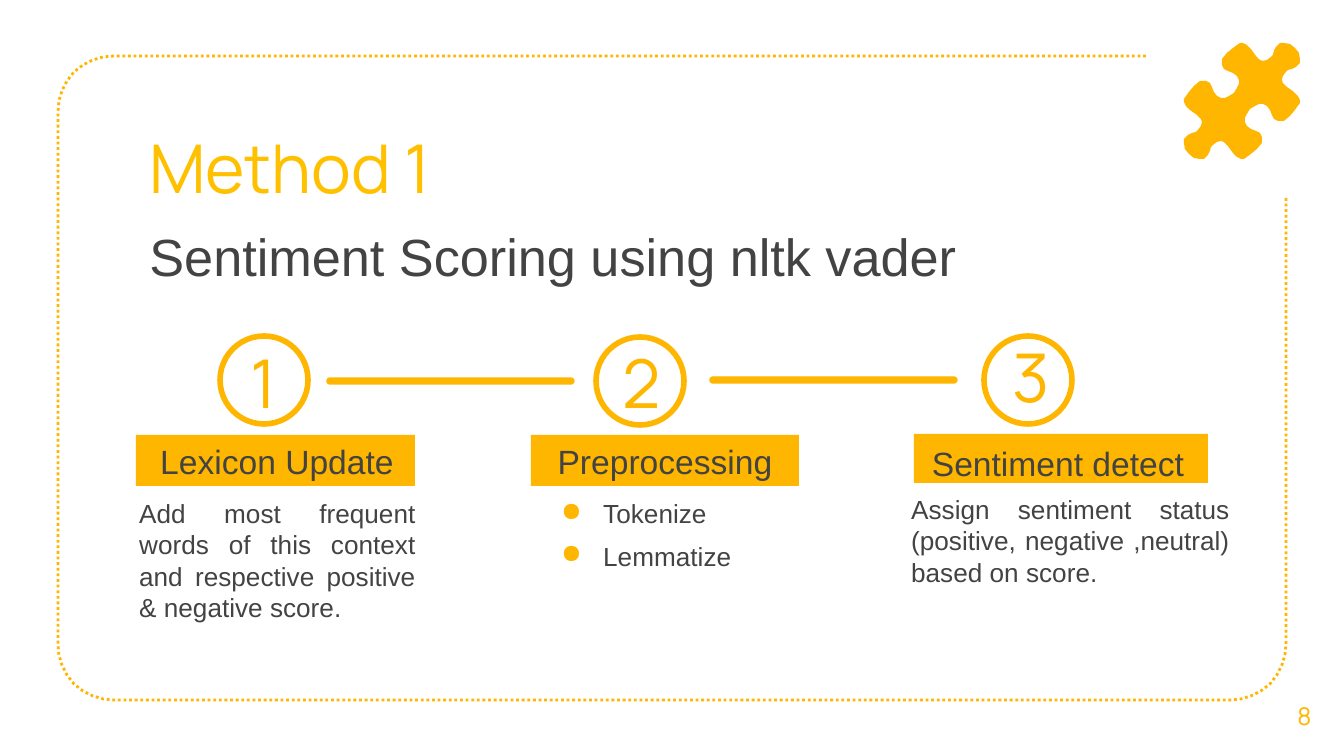
import math
from dataclasses import dataclass
from lxml import etree
from pptx import Presentation
from pptx import util as u
from pptx.dml.color import RGBColor
from pptx.enum import dml, shapes, text
from pptx.oxml.ns import qn

SCALE = 914400 / 134.4  # EMU in one px


@dataclass(frozen=True)
class Theme:
    accent: str = "FFB600"
    heading: str = "FFC000"
    ink: str = "434343"
    display: str = "Manrope"
    body: str = "Arial"
    large: int = 36
    title: int = 28
    label: int = 18
    copy: int = 14
    small: int = 13


THEME = Theme()

# Content: boxes are left, top, width, height in px
HEADING = ("Method 1", (136, 113, 1009, 126))
TITLE = ("Sentiment Scoring using nltk vader", (136, 211, 1048, 109))
PAGE_NUMBER = ("8", (1265, 675, 79, 81))
STEPS = [
    dict(number="1", number_box=(204, 316, 120, 87), ring=(220, 336),
         label="Lexicon Update", bar=(136, 435, 279, 51),
         label_box=(146, 429, 262, 66), copy_box=(126, 484, 303, 188),
         copy=["Add most frequent words of this context and respective positive & negative score."]),
    dict(number="2", number_box=(587, 316, 109, 79), ring=(596, 337),
         label="Preprocessing", bar=(531, 435, 268, 51),
         label_box=(534, 429, 262, 66), copy_box=(548, 484, 247, 188),
         copy=["Tokenize", "Lemmatize"]),
    dict(number="3", number_box=(977, 310, 109, 79), ring=(984, 336),
         label="Sentiment detect", bar=(914, 434, 294, 49),
         label_box=(907, 431, 302, 66), copy_box=(898, 480, 345, 188),
         copy=["Assign sentiment status (positive, negative ,neutral) based on score."]),
]
RING_SIZE = 88
LINKS = [(327, 378, 247, 6), (710, 377, 247, 6)]

# Dotted frame, open at its top right corner
FRAME = dict(left=58, top=56, right=1286, bottom=700, radius=56, start=1146, end=196)

# A quarter of the puzzle piece, from notch to tab, as px from its centre
PUZZLE_CENTRE = (1242, 101)
PUZZLE_QUARTER = [
    (-8, -8), (-5, -13), (-3, -17), (-3, -21), (-5, -25), (-9, -28), (-14, -30),
    (-18, -32), (-20, -36), (-20, -38), (-20, -42), (-15, -48), (-9, -53), (-2, -58),
    (1, -58), (5, -56), (9, -52), (14, -45), (18, -41), (21, -40), (25, -41),
    (29, -44), (31, -46), (32, -50), (34, -54), (38, -58), (42, -58), (48, -57), (53, -53),
]


def px(value):
    return u.Emu(round(value * SCALE))


def paint(shape, fill=None, line=None, width=1):
    shape.shadow.inherit = False
    for part, color in ((shape.fill, fill), (shape.line.fill, line)):
        if color:
            part.solid()
            part.fore_color.rgb = RGBColor.from_string(color)
        else:
            part.background()
    if line:
        shape.line.width = u.Pt(width)


def add_preset(page, kind, box, **style):
    shape = page.shapes.add_shape(kind, *map(px, box))
    paint(shape, **style)
    return shape


def add_outline(page, points, close, **style):
    builder = page.shapes.build_freeform(*points[0], scale=SCALE)
    builder.add_line_segments(points[1:], close=close)
    shape = builder.convert_to_shape()
    paint(shape, **style)
    return shape


def write(box, lines, size, color, font, align=text.PP_ALIGN.LEFT,
          anchor=text.MSO_ANCHOR.TOP, spacing=None, before=0, after=0):
    frame = box.text_frame
    frame.text = "\n".join(lines)
    frame.word_wrap = True
    frame.auto_size = text.MSO_AUTO_SIZE.NONE
    frame.vertical_anchor = anchor
    frame.margin_left = frame.margin_right = u.Inches(0.1)
    frame.margin_top = frame.margin_bottom = u.Inches(0.1)
    for para in frame.paragraphs:
        para.alignment = align
        para.line_spacing = spacing
        para.space_before, para.space_after = u.Pt(before), u.Pt(after)
        for span in para.runs:
            span.font.size = u.Pt(size)
            span.font.name = font
            span.font.color.rgb = RGBColor.from_string(color)


def add_text(page, box, lines, *style, **layout):
    shape = page.shapes.add_textbox(*map(px, box))
    write(shape, lines, *style, **layout)
    return shape


def add_bullets(box):
    for para in box.text_frame.paragraphs:
        props = para._p.get_or_add_pPr()
        props.set("marL", str(px(42)))
        props.set("indent", str(-px(42)))
        color = etree.SubElement(props, qn("a:buClr"))
        etree.SubElement(color, qn("a:srgbClr"), val=THEME.accent)
        etree.SubElement(props, qn("a:buChar"), char="●")


def frame_points(left, top, right, bottom, radius, start, end):
    def corner(x, y, first):
        angles = [math.radians(first - 90 * step / 8) for step in range(9)]
        return [(x + radius * math.cos(a), y + radius * math.sin(a)) for a in angles]

    return [(start, top),
            *corner(left + radius, top + radius, 270),
            *corner(left + radius, bottom - radius, 180),
            *corner(right - radius, bottom - radius, 90),
            (right, end)]


def puzzle_points():
    # Mirror the quarter across a diagonal, then turn the half by 180 degrees
    half = PUZZLE_QUARTER + [(-y, -x) for x, y in reversed(PUZZLE_QUARTER)]
    whole = half + [(-x, -y) for x, y in half]
    return [(PUZZLE_CENTRE[0] + x, PUZZLE_CENTRE[1] + y) for x, y in whole]


def add_step(page, step):
    center = text.PP_ALIGN.CENTER
    add_preset(page, shapes.MSO_SHAPE.RECTANGLE, step["bar"], fill=THEME.accent)
    add_preset(page, shapes.MSO_SHAPE.OVAL, (*step["ring"], RING_SIZE, RING_SIZE),
               line=THEME.accent, width=3)
    add_text(page, step["number_box"], [step["number"]], THEME.large, THEME.accent,
             THEME.display, align=center, spacing=1.15, after=16)
    add_text(page, step["label_box"], [step["label"]], THEME.label, THEME.ink, THEME.body,
             align=center, anchor=text.MSO_ANCHOR.BOTTOM, spacing=1.15)
    copy_box = add_text(page, step["copy_box"], step["copy"], THEME.copy, THEME.ink,
                        THEME.body, align=text.PP_ALIGN.JUSTIFY, before=6)
    if len(step["copy"]) > 1:
        add_bullets(copy_box)


def main():
    deck = Presentation()
    deck.slide_width, deck.slide_height = px(1344), px(756)
    page = deck.slides.add_slide(deck.slide_layouts[5])

    # Decoration
    border = add_outline(page, frame_points(**FRAME), False, line=THEME.accent, width=1.5)
    border.line.dash_style = dml.MSO_LINE.ROUND_DOT
    add_outline(page, puzzle_points(), True, fill=THEME.accent)

    # Headings and page number
    title = page.shapes.title
    title.left, title.top, title.width, title.height = map(px, TITLE[1])
    write(title, [TITLE[0]], THEME.title, THEME.ink, THEME.body)
    add_text(page, HEADING[1], [HEADING[0]], THEME.large, THEME.heading, THEME.display)
    add_text(page, PAGE_NUMBER[1], [PAGE_NUMBER[0]], THEME.small, THEME.accent, THEME.display,
             align=text.PP_ALIGN.CENTER, anchor=text.MSO_ANCHOR.MIDDLE)

    # Steps and the links between them
    for step in STEPS:
        add_step(page, step)
    for box in LINKS:
        link = add_preset(page, shapes.MSO_SHAPE.ROUNDED_RECTANGLE, box,
                          fill=THEME.accent, line=THEME.accent, width=0.75)
        link.adjustments[0] = 0.5

    deck.save("out.pptx")


if __name__ == "__main__":
    main()
